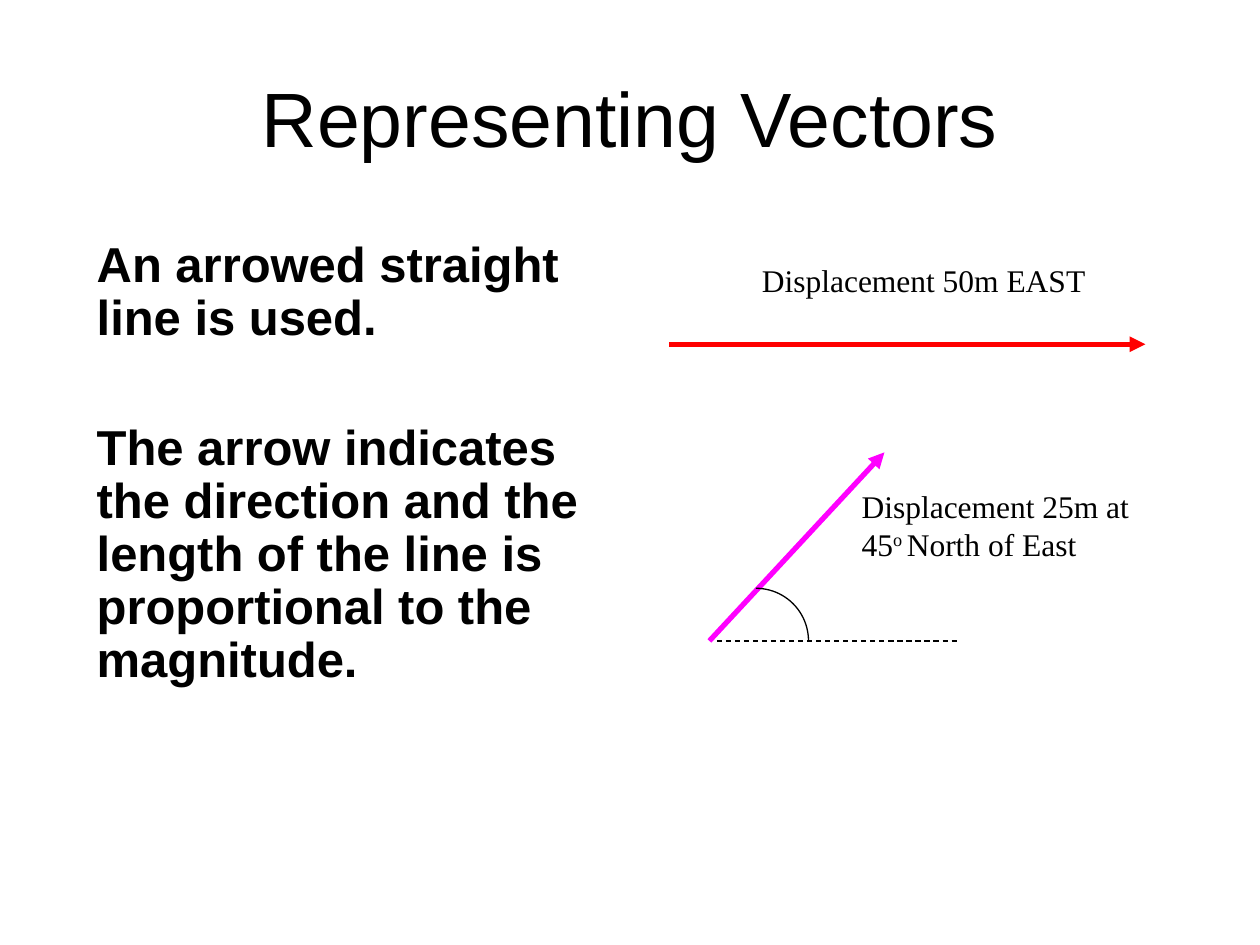
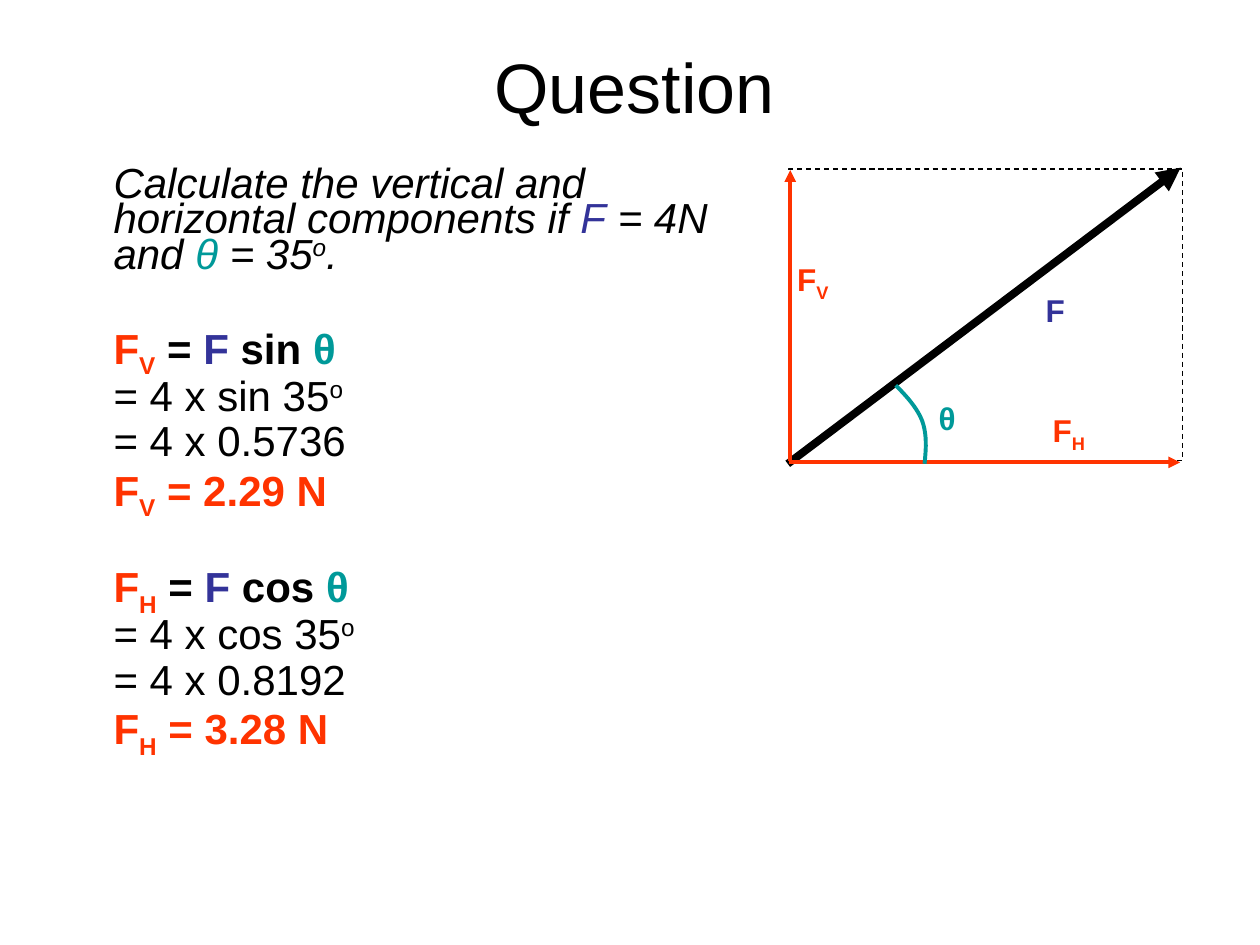
from dataclasses import dataclass

from lxml import etree
from pptx import Presentation
from pptx import util as u
from pptx.dml.color import RGBColor
from pptx.enum import dml, shapes, text
from pptx.oxml.ns import qn


@dataclass(frozen=True)
class Theme:
    # Colours
    ink: str = "000000"
    east: str = "FF0000"
    north_east: str = "FF00FF"
    component: str = "FF3300"
    force: str = "333399"
    angle: str = "009999"
    # Fonts and sizes
    sans: str = "Arial"
    serif: str = "Times New Roman"
    label_size: int = 18
    body_size: int = 28
    working_size: int = 24
    # Line widths
    thin: float = 0.75
    medium: float = 2.25
    thick: float = 3
    heavy: float = 4.5


T = Theme()
SUPER, SUB = 30, -25


# ---- Text ----
def run(txt, color=T.ink, bold=False, italic=False, base=0):
    return dict(txt=txt, color=color, bold=bold, italic=italic, base=base)


def add_runs(p, runs, size, font=T.sans):
    for part in runs:
        r = p.add_run()
        r.text = part["txt"]
        f = r.font
        f.name, f.size = font, u.Pt(size)
        f.bold, f.italic = part["bold"], part["italic"]
        f.color.rgb = RGBColor.from_string(part["color"])
        if part["base"]:
            r._r.get_or_add_rPr().set("baseline", str(part["base"] * 1000))


def place(sp, box):
    sp.left, sp.top, sp.width, sp.height = (u.Cm(v) for v in box)


def add_title_slide(prs, title, box, size):
    s = prs.slides.add_slide(prs.slide_layouts[5])
    sp = s.shapes.title
    place(sp, box)
    tf = sp.text_frame
    tf.auto_size = text.MSO_AUTO_SIZE.NONE
    tf.vertical_anchor = text.MSO_ANCHOR.MIDDLE
    p = tf.paragraphs[0]
    p.alignment = text.PP_ALIGN.CENTER
    add_runs(p, [run(title)], size)
    return s


def add_text(s, box, paragraphs, size, font=T.sans, spacing=None):
    """Each paragraph is (space before in points, runs)."""
    tf = s.shapes.add_textbox(*(u.Cm(v) for v in box)).text_frame
    tf.word_wrap = True
    for i, (before, runs) in enumerate(paragraphs):
        p = tf.add_paragraph() if i else tf.paragraphs[0]
        p.space_before = u.Pt(before)
        if spacing:
            p.line_spacing = spacing
        add_runs(p, runs, size, font)


def add_label(s, box, *runs, font=T.sans):
    add_text(s, box, [(0, runs)], T.label_size, font)


# ---- Lines and outlines ----
def style_line(sp, color, width, dashed=False):
    sp.line.color.rgb = RGBColor.from_string(color)
    sp.line.width = u.Pt(width)
    if dashed:
        sp.line.dash_style = dml.MSO_LINE.DASH


def style_outline(sp, color, width, dashed=False):
    sp.shadow.inherit = False
    sp.fill.background()
    style_line(sp, color, width, dashed)


def add_line(s, start, end, color, width, arrow=True, dashed=False):
    points = [u.Cm(v) for v in (*start, *end)]
    cx = s.shapes.add_connector(shapes.MSO_CONNECTOR.STRAIGHT, *points)
    style_line(cx, color, width, dashed)
    if arrow:
        etree.SubElement(cx.line._get_or_add_ln(), qn("a:tailEnd"), type="triangle")
    etree.SubElement(cx._element.spPr, qn("a:effectLst"))


def add_shape(s, kind, box, color, width, dashed=False):
    sp = s.shapes.add_shape(kind, *(u.Cm(v) for v in box))
    style_outline(sp, color, width, dashed)


def bezier(a, b, c, d, steps=10):
    for i in range(1, steps + 1):
        t = i / steps
        yield tuple((1 - t) ** 3 * p0 + 3 * (1 - t) ** 2 * t * p1
                    + 3 * (1 - t) * t ** 2 * p2 + t ** 3 * p3
                    for p0, p1, p2, p3 in zip(a, b, c, d))


def add_curve(s, points, color, width):
    """Draw joined cubic curves: a start point, then three points per curve."""
    # Freeform vertices are rounded to whole units, so work in EMU
    points = [(u.Cm(x), u.Cm(y)) for x, y in points]
    fb = s.shapes.build_freeform(*points[0])
    for i in range(0, len(points) - 1, 3):
        fb.add_line_segments(list(bezier(*points[i:i + 4])), close=False)
    style_outline(fb.convert_to_shape(), color, width)


# ---- Slides ----
def representing_vectors(prs):
    s = add_title_slide(prs, "Representing Vectors", (1.27, 0.76, 22.86, 3.18), 44)
    add_text(s, (1.7, 4.72, 11.23, 9.68), [
        (7, [run("An arrowed straight line is used.", bold=True)]),
        (44, [run("The arrow indicates the direction and the length of the line "
                  "is proportional to the magnitude.", bold=True)]),
    ], T.body_size, spacing=0.9)

    # Displacement due east
    add_line(s, (13.49, 6.94), (23.09, 6.94), T.east, T.thick)
    add_label(s, (15.11, 5.13, 7.09, 2.01), run("Displacement 50m EAST"), font=T.serif)

    # Displacement north of east, with its angle
    base_y, arc_x, radius = 12.92, 15.24, 1.06
    add_line(s, (14.3, base_y), (17.83, 9.12), T.north_east, T.thick)
    add_line(s, (14.45, base_y), (19.33, base_y), T.ink, T.thin, arrow=False, dashed=True)
    add_shape(s, shapes.MSO_SHAPE.ARC,
              (arc_x - radius, base_y - radius, 2 * radius, 2 * radius), T.ink, T.thin)
    add_label(s, (17.12, 9.69, 5.99, 3.18), run("Displacement 25m at 45"),
              run("o ", base=SUPER), run("North of East"), font=T.serif)


def component(letter):
    return [run("F", T.component, bold=True),
            run(letter, T.component, bold=True, base=SUB)]


def working(letter, ratio, value, answer):
    """Formula, two steps and the answer for one component."""
    formula = [run(" = ", bold=True), run("F", T.force, bold=True),
               run(f" {ratio} ", bold=True), run("θ", T.angle, bold=True)]
    return [
        (32, component(letter) + formula),
        (6, [run(f"= 4 x {ratio} 35"), run("o", base=SUPER)]),
        (6, [run(f"= 4 x {value}")]),
        (6, component(letter) + [run(f" = {answer} N", T.component, bold=True)]),
    ]


def question(prs):
    s = add_title_slide(prs, "Question", (1.27, 0.76, 23.04, 1.93), 40)
    task = [
        run("Calculate the vertical and horizontal components if ", italic=True),
        run("F", T.force, italic=True),
        run(" = 4N and ", italic=True),
        run("θ ", T.angle, italic=True),
        run("= 35", italic=True),
        run("o", italic=True, base=SUPER),
        run(".", italic=True),
    ]
    add_text(s, (2.04, 3.31, 12.9, 12.98),
             [(6, task)] + working("V", "sin", "0.5736", "2.29")
             + working("H", "cos", "0.8192", "3.28"),
             T.working_size, spacing=0.7)

    # Force and its two components
    add_line(s, (15.88, 9.35), (23.8, 3.38), T.ink, T.heavy)
    add_shape(s, shapes.MSO_SHAPE.RECTANGLE, (15.9, 3.41, 7.94, 5.87),
              T.ink, T.thin, dashed=True)
    add_line(s, (15.93, 9.3), (15.93, 3.43), T.component, T.medium)
    add_line(s, (15.9, 9.32), (23.79, 9.32), T.component, T.medium)
    add_curve(s, [(18.06, 7.77), (18.29, 8), (18.49, 8.23), (18.59, 8.48),
                  (18.69, 8.76), (18.67, 9.04), (18.64, 9.35)], T.angle, T.medium)

    # Labels
    add_label(s, (20.83, 5.74, 1.32, 1.02), run("F", T.force, bold=True))
    add_label(s, (15.82, 5.11, 1.52, 1.12), *component("V"))
    add_label(s, (20.97, 8.16, 1.52, 1.12), *component("H"))
    add_label(s, (18.67, 7.91, 2.11, 1.02), run("θ", T.angle, bold=True))


def main():
    prs = Presentation()
    prs.slide_width, prs.slide_height = u.Cm(25.4), u.Cm(19.05)
    representing_vectors(prs)
    question(prs)
    prs.save("out.pptx")


if __name__ == "__main__":
    main()
